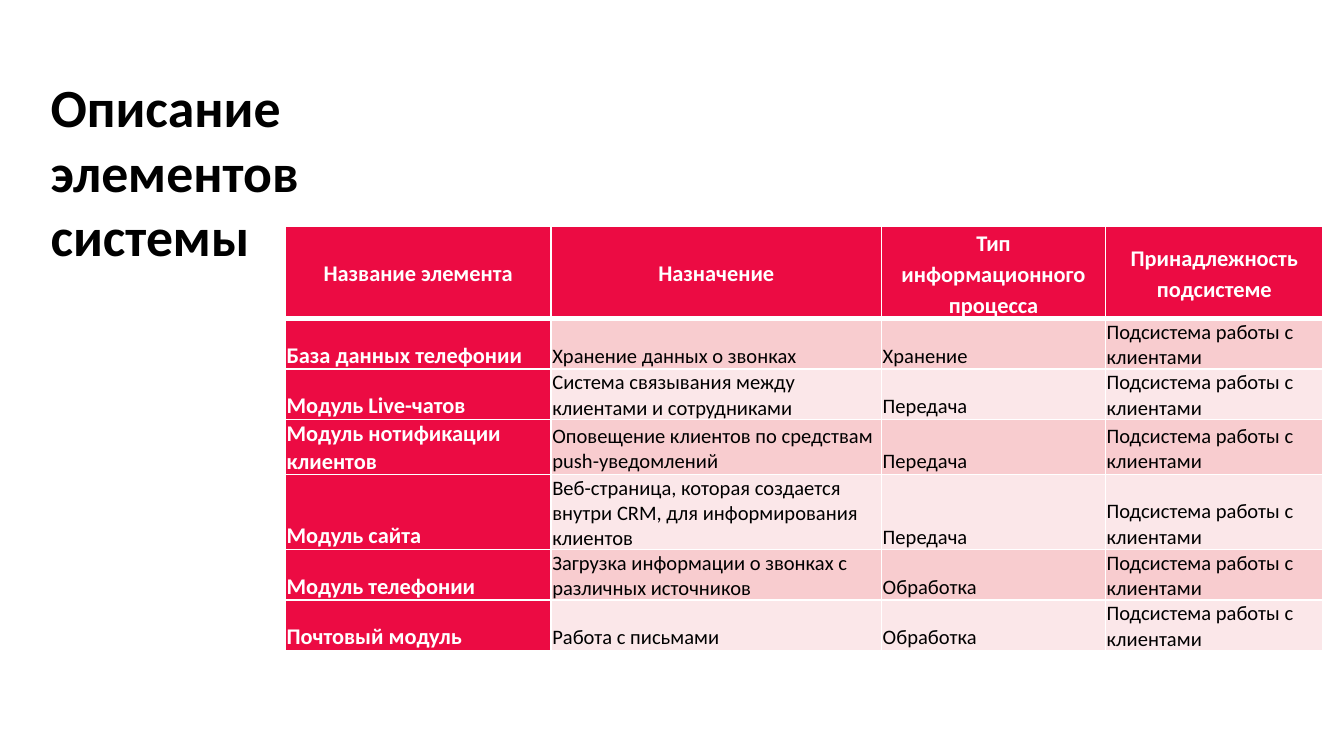
import pptx
import pptx.dml.color
import pptx.enum.text
import pptx.oxml.ns
import pptx.util
import lxml.etree

Pt = pptx.util.Pt
Anchor = pptx.enum.text.MSO_ANCHOR
Align = pptx.enum.text.PP_ALIGN
COLORS = {"black": "000000", "white": "FFFFFF", "red": "EC0B43",
          "pink": "F8CCCF", "pale": "FBE7E9"}


class SlideBuilder:
    """Holds the style and the slide, and draws each kind of element."""

    font = "Calibri"

    def __init__(self, slide):
        self.slide = slide

    def color(self, name):
        return pptx.dml.color.RGBColor.from_string(COLORS[name])

    def set_text(self, frame, text, size, color, bold, align=Align.LEFT, spacing=1.0):
        frame.word_wrap = True
        paragraph = frame.paragraphs[0]
        paragraph.text = text
        paragraph.alignment = align
        paragraph.line_spacing = spacing
        paragraph.font.name = self.font
        paragraph.font.size = Pt(size)
        paragraph.font.bold = bold
        paragraph.font.color.rgb = self.color(color)

    def title(self, text, left, top, width, height):
        box = self.slide.shapes.add_textbox(Pt(left), Pt(top), Pt(width), Pt(height))
        box.text_frame.vertical_anchor = Anchor.MIDDLE
        self.set_text(box.text_frame, text, 28.8, "black", True)

    def borders(self, cell, widths):
        properties = cell._tc.get_or_add_tcPr()
        for side, width in zip("LRTB", widths):
            line = lxml.etree.SubElement(
                properties, pptx.oxml.ns.qn("a:ln" + side), w=str(Pt(width)))
            fill = lxml.etree.SubElement(line, pptx.oxml.ns.qn("a:solidFill"))
            lxml.etree.SubElement(fill, pptx.oxml.ns.qn("a:srgbClr"), val=COLORS["white"])

    def cell(self, cell, text, row, column):
        header = row == 0
        strong = header or column == 0
        self.borders(cell, (1, 1, 3 if row == 1 else 1, 3 if header else 1))
        cell.fill.solid()
        band = "pink" if row % 2 else "pale"
        cell.fill.fore_color.rgb = self.color("red" if strong else band)
        cell.margin_left = cell.margin_right = Pt(5 if header else 0.6)
        cell.margin_top = Pt(0 if header else 0.6)
        cell.margin_bottom = Pt(0)
        cell.vertical_anchor = Anchor.MIDDLE if header else Anchor.BOTTOM
        self.set_text(cell.text_frame, text, 12 if strong else 11,
                      "white" if strong else "black", strong,
                      Align.CENTER if header else Align.LEFT, 1.15 if header else 1.0)

    def table(self, rows, left, top, widths, heights):
        frame = self.slide.shapes.add_table(
            len(rows), len(widths), Pt(left), Pt(top), Pt(sum(widths)), Pt(sum(heights)))
        table = frame.table
        for column, width in zip(table.columns, widths):
            column.width = Pt(width)
        for row_index, (texts, height) in enumerate(zip(rows, heights)):
            table.rows[row_index].height = Pt(height)
            for column_index, text in enumerate(texts):
                self.cell(table.cell(row_index, column_index), text, row_index, column_index)


HEADER = ("Название элемента", "Назначение", "Тип информационного процесса",
          "Принадлежность подсистеме")
SUBSYSTEM = "Подсистема работы с клиентами"
ELEMENTS = [
    ("База данных телефонии", "Хранение данных о звонках", "Хранение"),
    ("Модуль Live-чатов", "Система связывания между клиентами и сотрудниками", "Передача"),
    ("Модуль нотификации клиентов",
     "Оповещение клиентов по средствам push-уведомлений", "Передача"),
    ("Модуль сайта",
     "Веб-страница, которая создается внутри CRM, для информирования клиентов", "Передача"),
    ("Модуль телефонии", "Загрузка информации о звонках с различных источников", "Обработка"),
    ("Почтовый модуль", "Работа с письмами", "Обработка"),
]

presentation = pptx.Presentation()
presentation.slide_width = Pt(720)
presentation.slide_height = Pt(405)
builder = SlideBuilder(presentation.slides.add_slide(presentation.slide_layouts[6]))
builder.title("Описание элементов системы", 20, 43.2, 240, 96.5)
builder.table([HEADER] + [element + (SUBSYSTEM,) for element in ELEMENTS],
              152.9, 121, (142.4, 177, 120, 116.6), [40.3] + [26.8] * len(ELEMENTS))
presentation.save("out.pptx")
